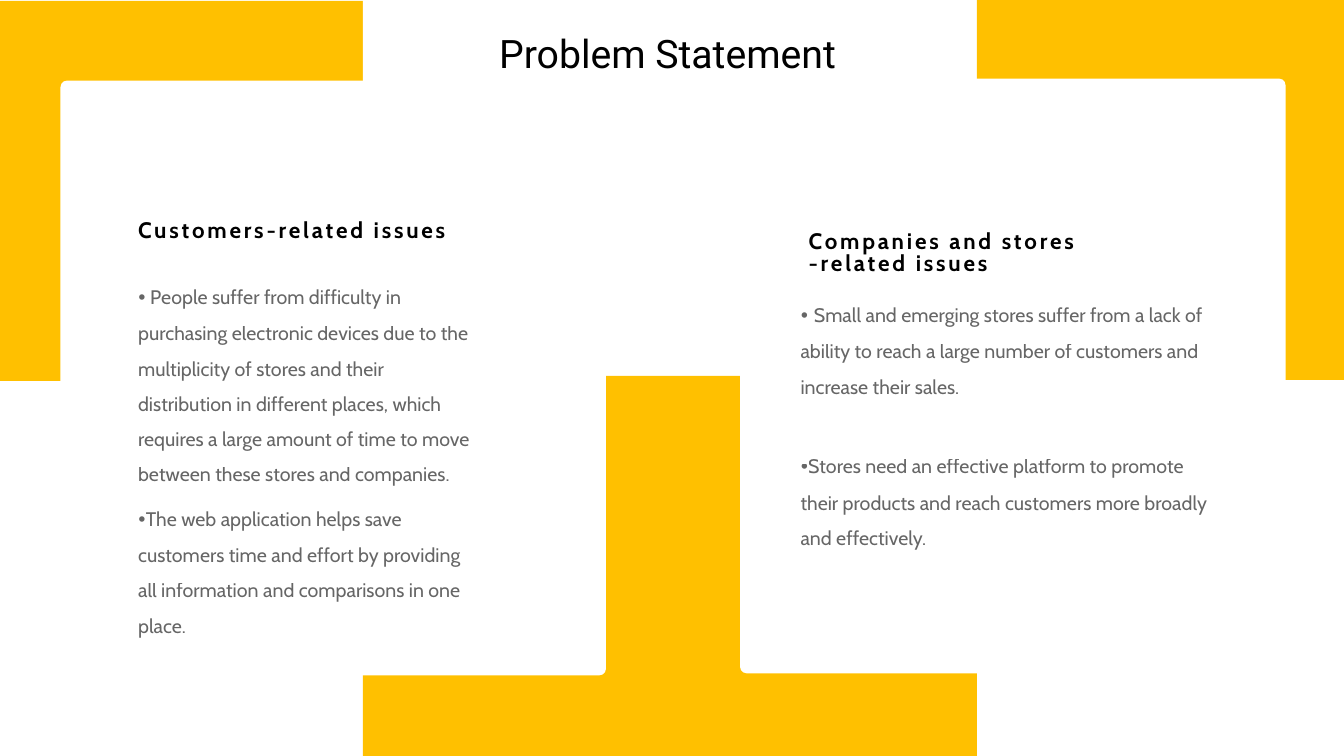
from lxml import etree
from pptx import Presentation
from pptx.dml.color import RGBColor
from pptx.enum.shapes import MSO_SHAPE as Preset
from pptx.enum.text import MSO_ANCHOR as Anchor, MSO_AUTO_SIZE as AutoSize, PP_ALIGN as Align
from pptx.oxml.ns import qn
from pptx.util import Inches, Pt

COLORS = {"accent": "FFC000", "panel": "FFFFFF", "text": "000000"}
WIDTH, HEIGHT = 13.33, 7.5
CORNER_WIDTH, CORNER_HEIGHT = 3.64, 3.77
PANEL_WIDTH, PANEL_HEIGHT = 5.41, 5.9
BODY_OPACITY = 60

presentation = Presentation()
presentation.slide_width = Inches(WIDTH)
presentation.slide_height = Inches(HEIGHT)
slide = presentation.slides.add_slide(presentation.slide_layouts[6])


def add_block(preset, color, *box):
    shape = slide.shapes.add_shape(preset, *map(Inches, box))
    shape.shadow.inherit = False
    shape.fill.solid()
    shape.fill.fore_color.rgb = RGBColor.from_string(COLORS[color])
    shape.line.fill.background()
    if preset == Preset.ROUNDED_RECTANGLE:
        shape.adjustments[0] = 0.012
    return shape


def style_run(run, font_name, size):
    run.font.name = font_name
    run.font.size = Pt(size)
    run.font.color.rgb = RGBColor.from_string(COLORS["text"])


# Yellow frame behind two white panels
right_edge = WIDTH - CORNER_WIDTH
frame = [
    (Preset.RECTANGLE, "accent", 3.6, HEIGHT - CORNER_HEIGHT, 6.09, CORNER_HEIGHT),
    (Preset.RECTANGLE, "accent", -0.01, 0.01, CORNER_WIDTH, CORNER_HEIGHT),
    (Preset.ROUNDED_RECTANGLE, "panel", 0.6, 0.8, PANEL_WIDTH, PANEL_HEIGHT),
    (Preset.RECTANGLE, "accent", right_edge, 0, CORNER_WIDTH, CORNER_HEIGHT),
    (Preset.ROUNDED_RECTANGLE, "panel", 7.34, 0.78, PANEL_WIDTH, PANEL_HEIGHT),
]
for block in frame:
    add_block(*block)

# Title
title = add_block(Preset.RECTANGLE, "panel", 3.6, 0, 6.04, 0.81)
title.text_frame.text = "Problem Statement"
title.text_frame.vertical_anchor = Anchor.MIDDLE
title_paragraph = title.text_frame.paragraphs[0]
title_paragraph.alignment = Align.CENTER
title_paragraph.line_spacing = 1.5
style_run(title_paragraph.runs[0], "Roboto", 28)

# Columns: heading, heading box, body box, gap between points, points as (bullet, text)
columns = [
    ("Customers-related issues", (1.37, 2.2, 3.4, 0.22), (1.37, 2.62, 3.4, 3.7), 0, [
        ("•", " People suffer from difficulty in purchasing electronic devices due to the "
              "multiplicity of stores and their distribution in different places, which requires "
              "a large amount of time to move between these stores and companies."),
        ("•", "The web application helps save customers time and effort by providing all "
              "information and comparisons in one place."),
    ]),
    ("Companies and stores -related issues", (8.02, 2.31, 3.62, 0.44), (7.94, 2.8, 4.16, 2.64), 25.3, [
        ("• ", "Small and emerging stores suffer from a lack of ability to reach a large number "
               "of customers and increase their sales."),
        ("•", "Stores need an effective platform to promote their products and reach customers "
              "more broadly and effectively."),
    ]),
]
for heading, heading_box, body_box, gap, points in columns:
    frames = []
    for box, right_inset in ((heading_box, 0), (body_box, 0.1)):
        text_frame = slide.shapes.add_textbox(*map(Inches, box)).text_frame
        text_frame.word_wrap = True
        text_frame.auto_size = AutoSize.SHAPE_TO_FIT_TEXT
        text_frame.margin_left = text_frame.margin_top = text_frame.margin_bottom = 0
        text_frame.margin_right = Inches(right_inset)
        frames.append(text_frame)
    heading_frame, body_frame = frames

    # Bold, letter-spaced heading
    heading_frame.text = heading
    paragraph = heading_frame.paragraphs[0]
    paragraph.line_spacing = 0.8
    run = paragraph.runs[0]
    style_run(run, "Cabin", 16)
    run.font.bold = True
    run.font._element.set("spc", "200")

    # Translucent points, each led by a larger bullet
    for index, point in enumerate(points):
        paragraph = body_frame.add_paragraph() if index else body_frame.paragraphs[0]
        paragraph.line_spacing = 1.5
        paragraph.space_before = Pt(gap if index else 0)
        for text, size in zip(point, (18, 14)):
            run = paragraph.add_run()
            run.text = text
            style_run(run, "Cabin", size)
            color = run.font._element.find(".//" + qn("a:srgbClr"))
            etree.SubElement(color, qn("a:alpha")).set("val", str(BODY_OPACITY * 1000))

presentation.save("out.pptx")
